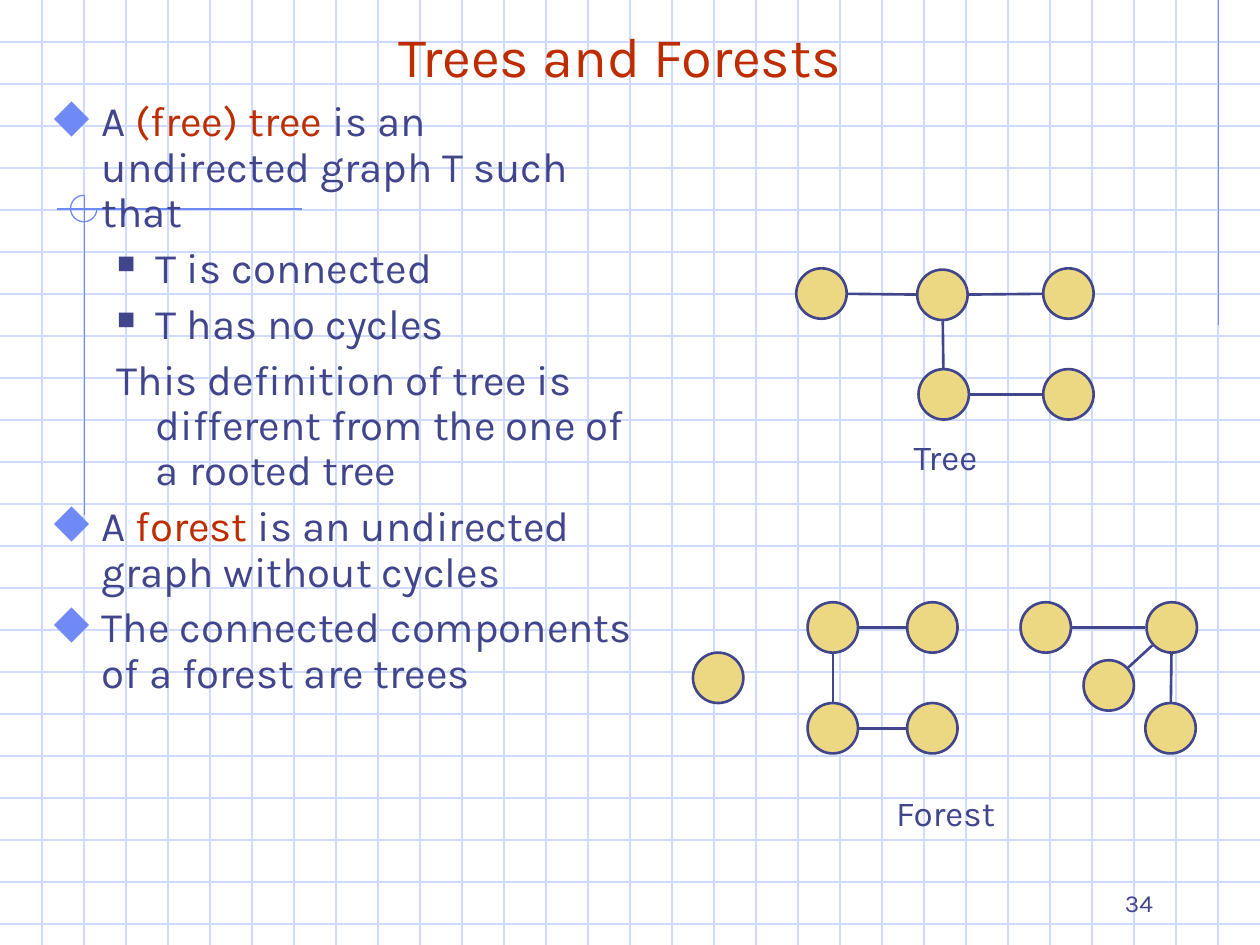
from dataclasses import dataclass
from math import hypot

from lxml.etree import SubElement
from pptx import Presentation
from pptx.dml.color import RGBColor
from pptx.enum.shapes import MSO_CONNECTOR, MSO_SHAPE
from pptx.enum.text import MSO_ANCHOR, MSO_AUTO_SIZE, PP_ALIGN
from pptx.oxml.ns import qn
from pptx.util import Inches, Pt


@dataclass(frozen=True)
class Theme:
    font: str = "Karla"
    ink: str = "40458C"
    red: str = "BE2D00"
    blue: str = "6F89F7"
    grid: str = "CFDBFD"
    node: str = "ECD882"
    title: int = 32
    body: int = 24
    label: int = 20
    small: int = 14
    thin: float = 0.75
    bold: float = 1.5


@dataclass(frozen=True)
class Bullet:
    sign: str
    color: str
    scale: int


@dataclass(frozen=True)
class Item:
    runs: tuple[tuple[str, str], ...]
    left: float
    hang: float
    bullet: Bullet | None = None


@dataclass(frozen=True)
class Graph:
    nodes: dict[str, tuple[float, float]]
    edges: tuple[str, ...]


THEME = Theme()
WIDTH, HEIGHT, CELL = 10, 7.5, 1 / 3
RADIUS, GAP = 0.2, 0.01
MAIN = Bullet("◆", THEME.blue, 110)
SUB = Bullet("■", THEME.ink, 60)


def top(*runs: tuple[str, str]) -> Item:
    return Item(runs, 0.38, -0.38, MAIN)


def sub(text: str, bullet: Bullet | None = SUB) -> Item:
    return Item(((text, THEME.ink),), 0.81, -0.31, bullet)


ITEMS = (
    top(("A ", THEME.ink), ("(free) tree", THEME.red),
        (" is an undirected graph T such that", THEME.ink)),
    sub("T is connected"),
    sub("T has no cycles"),
    sub("This definition of tree is different from the one of a rooted tree", None),
    top(("A ", THEME.ink), ("forest", THEME.red),
        (" is an undirected graph without cycles", THEME.ink)),
    top(("The connected components of a forest are trees", THEME.ink)),
)

GRAPHS = (
    Graph({"a": (6.52, 2.33), "b": (7.48, 2.34), "c": (8.48, 2.33),
           "d": (7.49, 3.13), "e": (8.48, 3.13)}, ("ab", "bc", "bd", "de")),
    Graph({"a": (5.7, 5.38)}, ()),
    Graph({"a": (6.61, 4.98), "b": (7.4, 4.98), "c": (6.61, 5.78),
           "d": (7.4, 5.78)}, ("ab", "ac", "cd")),
    Graph({"a": (8.3, 4.98), "b": (9.3, 4.98), "c": (9.29, 5.78),
           "d": (8.8, 5.44)}, ("ab", "bc", "bd")),
)


def apply(target, values: dict) -> None:
    for name, value in values.items():
        setattr(target, name, value)


def line(slide, start: tuple, end: tuple, color: str, width: float) -> None:
    ends = [Inches(n) for n in (*start, *end)]
    link = slide.shapes.add_connector(MSO_CONNECTOR.STRAIGHT, *ends)
    link.line.color.rgb = RGBColor.from_string(color)
    link.line.width = Pt(width)
    SubElement(link._element.spPr, qn("a:effectLst"))


def write(para, text: str, size: int, color: str) -> None:
    run = para.add_run()
    run.text = text
    apply(run.font, {"name": THEME.font, "size": Pt(size)})
    run.font.color.rgb = RGBColor.from_string(color)


def box(slide, place: tuple, anchor=MSO_ANCHOR.TOP, grow: bool = False):
    frame = slide.shapes.add_textbox(*[Inches(n) for n in place]).text_frame
    fit = MSO_AUTO_SIZE.SHAPE_TO_FIT_TEXT if grow else MSO_AUTO_SIZE.NONE
    apply(frame, {"word_wrap": True, "auto_size": fit, "vertical_anchor": anchor})
    return frame


def label(slide, place: tuple, text: str, size: int, color: str = THEME.ink,
          align=PP_ALIGN.CENTER, anchor=MSO_ANCHOR.TOP, grow: bool = False) -> None:
    para = box(slide, place, anchor, grow).paragraphs[0]
    para.alignment = align
    write(para, text, size, color)


def mark(props, bullet: Bullet | None) -> None:
    if bullet is None:
        SubElement(props, qn("a:buNone"))
        return
    tint = SubElement(props, qn("a:buClr"))
    SubElement(tint, qn("a:srgbClr"), val=bullet.color)
    SubElement(props, qn("a:buSzPct"), val=str(bullet.scale * 1000))
    SubElement(props, qn("a:buChar"), char=bullet.sign)


def body(slide) -> None:
    frame = box(slide, (0.33, 0.75, 4.83, 6))
    for index, item in enumerate(ITEMS):
        para = frame.add_paragraph() if index else frame.paragraphs[0]
        props = para._p.get_or_add_pPr()
        props.set("marL", str(Inches(item.left)))
        props.set("indent", str(Inches(item.hang)))
        mark(props, item.bullet)
        apply(para, {"line_spacing": 0.9, "space_before": Pt(6 if index else 0)})
        for text, color in item.runs:
            write(para, text, THEME.body, color)


def backdrop(slide) -> None:
    for row in range(1, 23):
        line(slide, (0, row * CELL), (WIDTH, row * CELL), THEME.grid, THEME.thin)
    for col in range(1, 30):
        line(slide, (col * CELL, 0), (col * CELL, HEIGHT), THEME.grid, THEME.thin)
    for start, end in (((9.67, 0), (9.67, 2.58)), ((2.4, 1.66), (0.45, 1.66)),
                       ((0.67, 1.55), (0.67, 4.09))):
        line(slide, start, end, THEME.blue, THEME.thin)
    arc = slide.shapes.add_shape(
        MSO_SHAPE.ARC, *[Inches(n) for n in (0.56, 1.55, 0.21, 0.21)])
    arc.adjustments[0], arc.adjustments[1] = 0, 162
    arc.shadow.inherit = False
    arc.fill.background()
    arc.line.color.rgb = RGBColor.from_string(THEME.blue)
    arc.line.width = Pt(THEME.thin)


def node(slide, x: float, y: float) -> None:
    place = (x - RADIUS, y - RADIUS, 2 * RADIUS, 2 * RADIUS)
    disc = slide.shapes.add_shape(MSO_SHAPE.OVAL, *[Inches(n) for n in place])
    disc.shadow.inherit = False
    disc.fill.solid()
    disc.fill.fore_color.rgb = RGBColor.from_string(THEME.node)
    disc.line.color.rgb = RGBColor.from_string(THEME.ink)
    disc.line.width = Pt(THEME.bold)


def edge(slide, start: tuple, end: tuple) -> None:
    (x, y), (u, v) = start, end
    part = (RADIUS + GAP) / hypot(u - x, v - y)
    dx, dy = (u - x) * part, (v - y) * part
    line(slide, (x + dx, y + dy), (u - dx, v - dy), THEME.ink, THEME.bold)


def draw(slide, graph: Graph) -> None:
    for x, y in graph.nodes.values():
        node(slide, x, y)
    for start, end in graph.edges:
        edge(slide, graph.nodes[start], graph.nodes[end])


def main() -> None:
    deck = Presentation()
    apply(deck, {"slide_width": Inches(WIDTH), "slide_height": Inches(HEIGHT)})
    slide = deck.slides.add_slide(deck.slide_layouts[6])
    backdrop(slide)
    label(slide, (0.67, 0.33, 8.5, 0.42), "Trees and Forests", THEME.title,
          THEME.red, anchor=MSO_ANCHOR.BOTTOM)
    body(slide)
    label(slide, (5.94, 3.41, 3.13, 0.44), "Tree", THEME.label, grow=True)
    label(slide, (5.51, 6.23, 3.99, 0.44), "Forest", THEME.label, grow=True)
    for graph in GRAPHS:
        draw(slide, graph)
    label(slide, (7.17, 6.83, 2.08, 0.5), "34", THEME.small,
          align=PP_ALIGN.RIGHT, anchor=MSO_ANCHOR.BOTTOM)
    deck.save("out.pptx")


if __name__ == "__main__":
    main()
